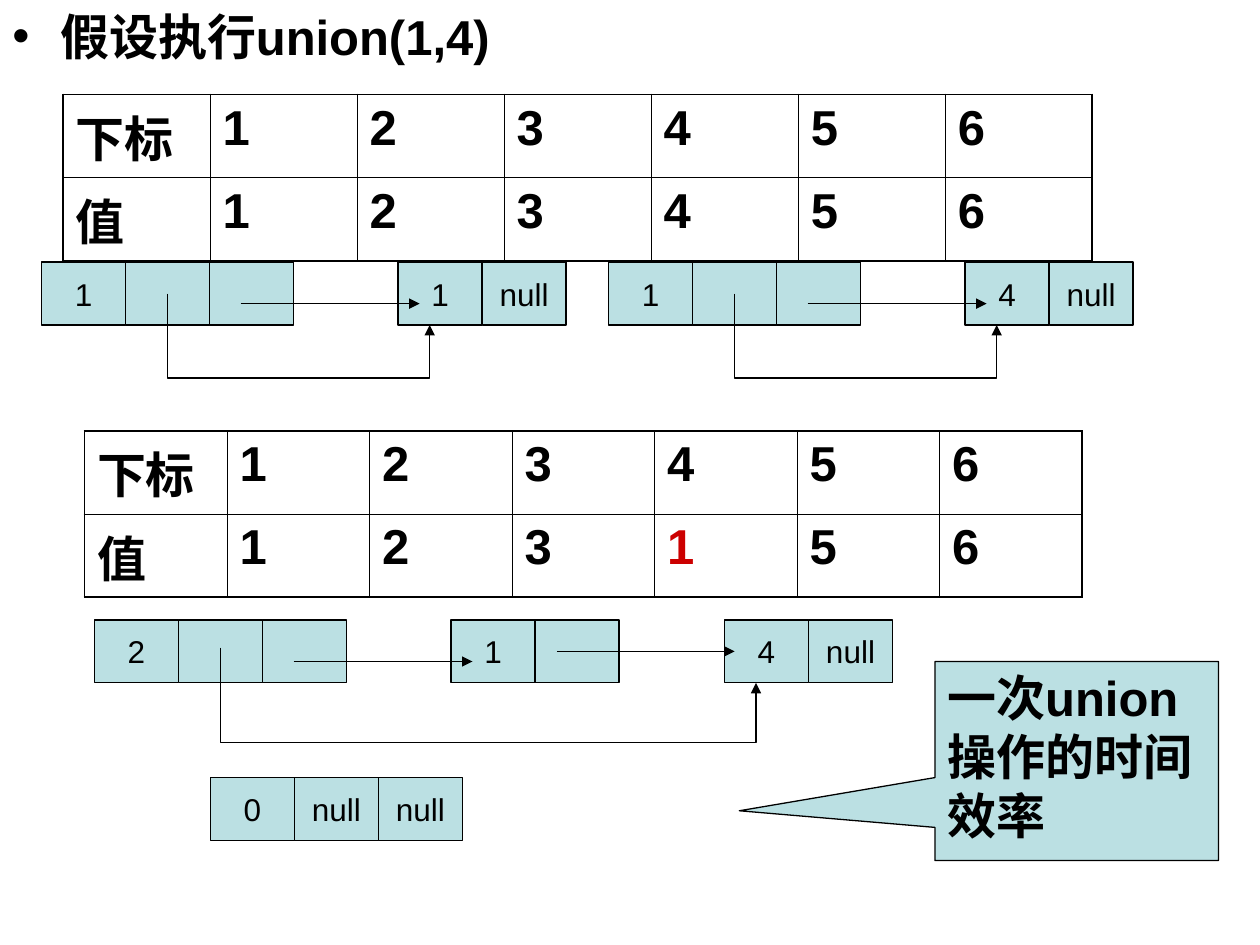
from lxml.etree import SubElement
from pptx import Presentation
from pptx.dml.color import RGBColor
from pptx.enum.shapes import MSO_CONNECTOR as Connector, MSO_SHAPE as Preset
from pptx.enum.text import MSO_ANCHOR as Anchor, PP_ALIGN as Align
from pptx.oxml.ns import qn
from pptx.util import Inches, Pt

BLACK = RGBColor(0x00, 0x00, 0x00)
RED = RGBColor(0xCC, 0x00, 0x00)
TEAL = RGBColor(0xBB, 0xE0, 0xE3)
LARGE = {"name": "Arial", "size": Pt(28), "bold": True}
SMALL = {"name": "Arial", "size": Pt(18), "bold": False}
CELL_WIDTH, CELL_HEIGHT = 2 / 3, 0.5
ROW_HEIGHT = 0.66
OUTER, INNER = Pt(1.08), Pt(0.45)


def write(para, text, style, color=BLACK):
    span = para.add_run()
    span.text = text
    for name, value in style.items():
        setattr(span.font, name, value)
    span.font.color.rgb = color


def set_line(shape, arrow=False):
    shape.line.color.rgb = BLACK
    shape.line.width = Pt(0.75)
    if arrow:
        SubElement(shape.line._ln, qn("a:tailEnd"), type="triangle")


def add_filled(shapes, preset, left, top, width, height):
    shape = shapes.add_shape(preset, Inches(left), Inches(top), Inches(width), Inches(height))
    shape.shadow.inherit = False
    shape.fill.solid()
    shape.fill.fore_color.rgb = TEAL
    set_line(shape)
    return shape


def add_node(shapes, left, top, labels):
    for index, label in enumerate(labels):
        box = add_filled(shapes, Preset.RECTANGLE, left + index * CELL_WIDTH, top,
                         CELL_WIDTH, CELL_HEIGHT)
        if label:
            frame = box.text_frame
            frame.word_wrap = False
            frame.vertical_anchor = Anchor.MIDDLE
            para = frame.paragraphs[0]
            para.alignment = Align.CENTER
            write(para, label, SMALL)


def add_arrow(shapes, left, right, top):
    arrow = shapes.add_connector(Connector.STRAIGHT, Inches(left), Inches(top),
                                 Inches(right), Inches(top))
    set_line(arrow, arrow=True)
    SubElement(arrow._element.spPr, qn("a:effectLst"))


def add_bent_arrow(shapes, points):
    start, *rest = [(Inches(x), Inches(y)) for x, y in points]
    builder = shapes.build_freeform(*start)
    builder.add_line_segments(rest, close=False)
    path = builder.convert_to_shape()
    path.shadow.inherit = False
    path.fill.background()
    set_line(path, arrow=True)


def add_list(page, left, top, head, tail):
    shapes = page.shapes.add_group_shape().shapes
    add_node(shapes, left, top, [head, "", ""])
    add_node(shapes, left + 2.83, top, tail)
    add_arrow(shapes, left + 1.58, left + 3, top + 0.33)
    return shapes


def add_single_list(page, left, top, head, tail):
    shapes = add_list(page, left, top, head, [tail, "null"])
    add_bent_arrow(shapes, [(left + 1, top + 0.25), (left + 1, top + 0.92),
                            (left + 3.08, top + 0.92), (left + 3.08, top + CELL_HEIGHT)])


def add_merged_list(page, left, top):
    shapes = add_list(page, left, top, "2", ["1", ""])
    add_bent_arrow(shapes, [(left + 1, top + 0.22), (left + 1, top + 0.97),
                            (left + 5.25, top + 0.97), (left + 5.25, top + CELL_HEIGHT)])
    add_node(shapes, left + 5, top, ["4", "null"])
    add_arrow(shapes, left + 3.67, left + 5.08, top + 0.25)


def set_borders(cell, widths):
    properties = cell._tc.get_or_add_tcPr()
    for side, width in widths.items():
        border = SubElement(properties, qn(f"a:ln{side}"), w=str(int(width)))
        paint = SubElement(border, qn("a:solidFill"))
        SubElement(paint, qn("a:srgbClr"), val=str(BLACK))


def add_index_table(page, left, top, width, values, changed=None):
    rows = [["下标", *"123456"], ["值", *values]]
    last_row, last_column = len(rows) - 1, len(rows[0]) - 1
    table = page.shapes.add_table(len(rows), len(rows[0]), Inches(left), Inches(top),
                                  Inches(width), Inches(ROW_HEIGHT * len(rows))).table
    table.first_row = table.horz_banding = False
    for r, labels in enumerate(rows):
        for c, label in enumerate(labels):
            cell = table.cell(r, c)
            para = cell.text_frame.paragraphs[0]
            para.space_before = Pt(7)
            write(para, label, LARGE, RED if (r, c) == changed else BLACK)
            set_borders(cell, {
                "L": OUTER if c == 0 else INNER,
                "R": OUTER if c == last_column else INNER,
                "T": OUTER if r == 0 else INNER,
                "B": OUTER if r == last_row else INNER,
            })
            cell.fill.background()


def add_heading(page, text):
    box = page.shapes.add_textbox(Inches(0), Inches(0), Inches(10), Inches(6.25))
    box.text_frame.word_wrap = True
    para = box.text_frame.paragraphs[0]
    para.space_before = Pt(7)
    properties = para._p.get_or_add_pPr()
    properties.set("marL", str(Inches(0.38)))
    properties.set("indent", str(Inches(-0.38)))
    SubElement(properties, qn("a:buFont"), typeface="Arial")
    SubElement(properties, qn("a:buChar"), char="•")
    write(para, text, LARGE)


def add_callout(page, text):
    callout = add_filled(page.shapes, Preset.RECTANGULAR_CALLOUT, 7.42, 5.25, 2.25, 1.58)
    callout.adjustments[0] = -1.19
    callout.adjustments[1] = 0.25
    frame = callout.text_frame
    frame.word_wrap = True
    frame.vertical_anchor = Anchor.TOP
    para = frame.paragraphs[0]
    para.alignment = Align.LEFT
    write(para, text, LARGE)


def main():
    deck = Presentation()
    deck.slide_width, deck.slide_height = Inches(10), Inches(7.5)
    page = deck.slides.add_slide(deck.slide_layouts[6])
    add_heading(page, "假设执行union(1,4)")
    add_index_table(page, 0.5, 0.75, 8.17, "123456")
    for left, tail in ((0.33, "1"), (4.83, "4")):
        add_single_list(page, left, 2.08, "1", tail)
    add_index_table(page, 0.67, 3.42, 7.92, "123156", changed=(1, 4))
    add_merged_list(page, 0.75, 4.92)
    add_node(page.shapes.add_group_shape().shapes, 1.67, 6.17, ["0", "null", "null"])
    add_callout(page, "一次union操作的时间效率")
    deck.save("out.pptx")


if __name__ == "__main__":
    main()
